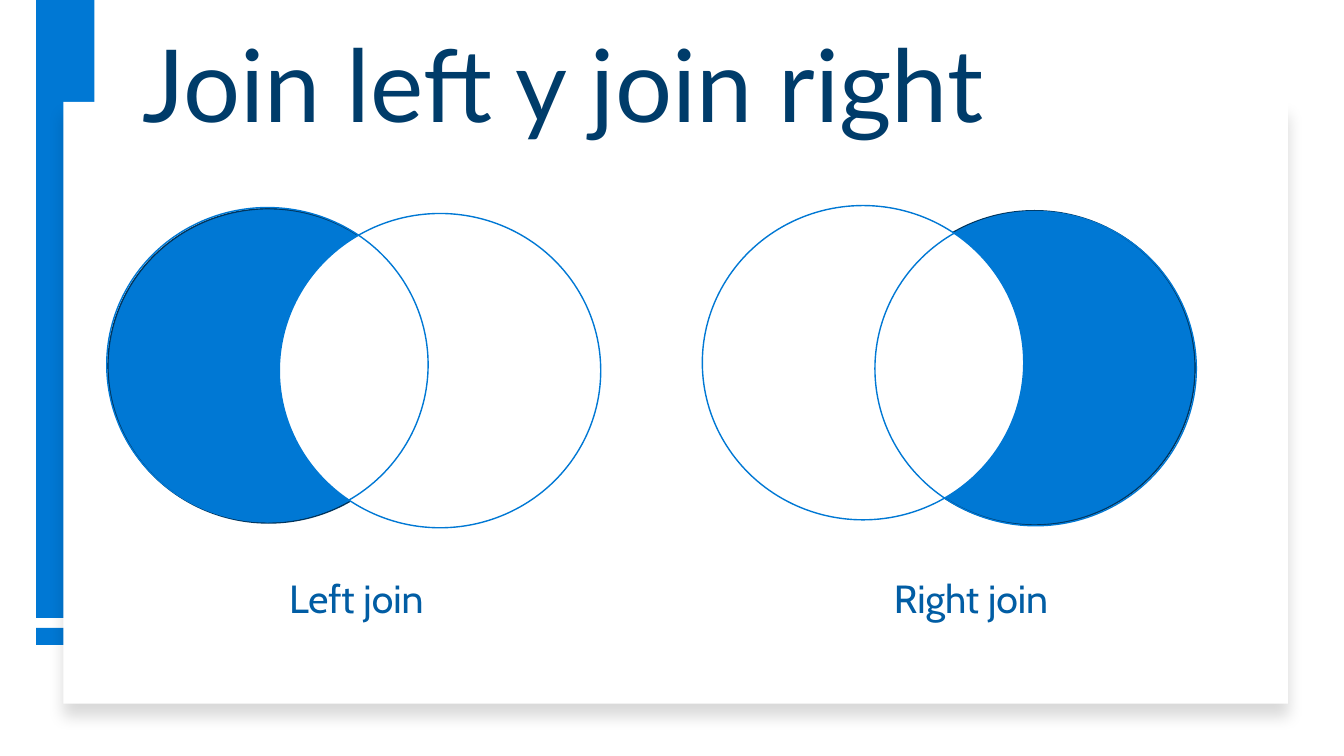
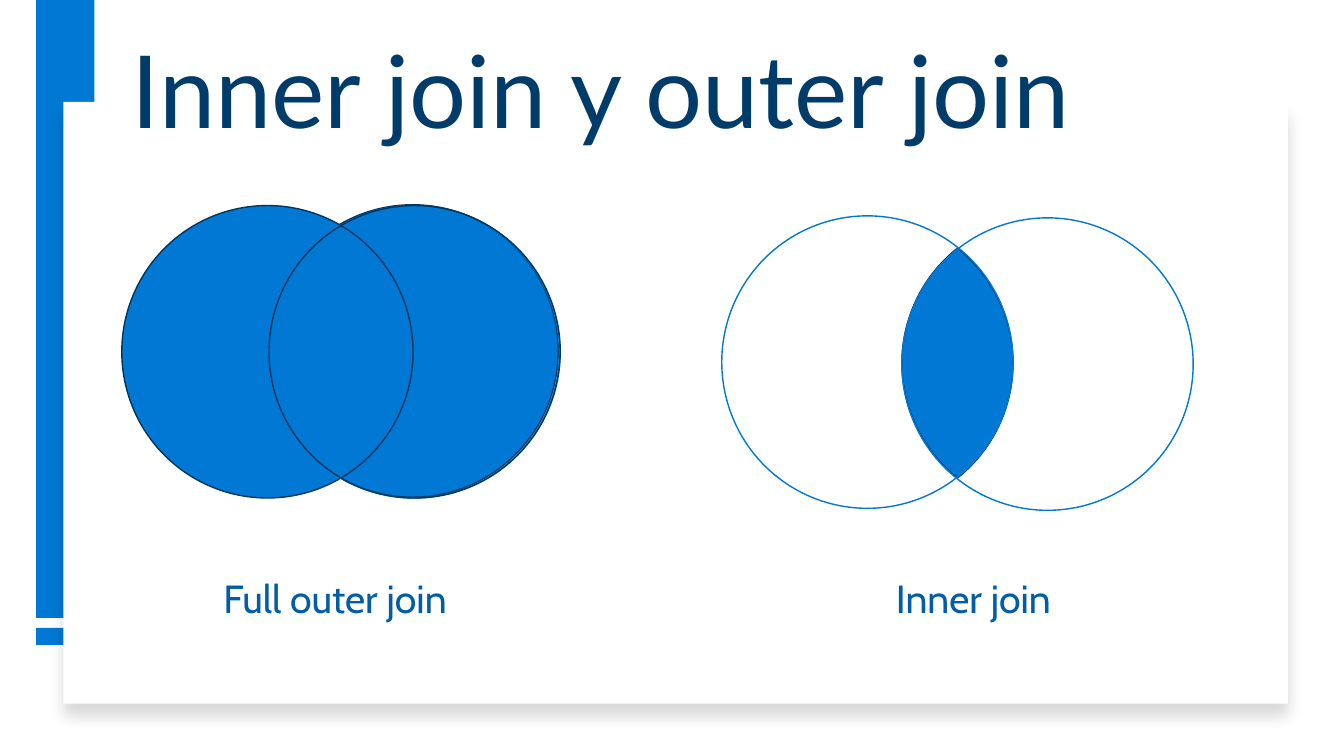
"""Build two slides that explain SQL joins with Venn diagrams."""
import math
from lxml import etree
from pptx import Presentation, util as u
from pptx.dml import color
from pptx.enum import shapes, text
from pptx.oxml import ns

BLUE, DARK, NAVY, MID, WHITE = "0078D4", "00355D", "003C6A", "015DA4", "FFFFFF"
TITLE = {"name": "Lato", "size": u.Pt(72)}
LABEL = {"name": "Cabin", "size": u.Pt(28)}


def rgb(code):
    """Turn a hex string into a colour."""
    return color.RGBColor.from_string(code)


class Deck:
    """Hold the style and the current slide."""

    def __init__(self):
        self.file = Presentation()
        self.file.slide_width, self.file.slide_height = u.Cm(33.87), u.Cm(19.05)
        self.slide = None

    def page(self, words, left, top):
        """Start a slide with the shared frame and a title."""
        self.slide = self.file.slides.add_slide(self.file.slide_layouts[6])
        self.rect(0.91, 15.82, 1.47, 0.43, BLUE)
        self.rect(0.91, 0, 1.47, 15.57, BLUE)
        self.shade(self.rect(1.6, 2.57, 30.86, 15.16, WHITE))
        box = self.words(words, (left, top, 27.36, 3.76), TITLE, NAVY)
        box.vertical_anchor = text.MSO_ANCHOR.BOTTOM
        box.paragraphs[0].line_spacing = 0.9

    def paint(self, item, fill=None, line=None):
        """Set fill and outline, each left empty when None."""
        item.shadow.inherit = False
        if fill:
            item.fill.solid()
            item.fill.fore_color.rgb = rgb(fill)
        else:
            item.fill.background()
        if line:
            item.line.color.rgb = rgb(line)
            item.line.width = u.Pt(1)
        else:
            item.line.fill.background()
        return item

    def add(self, kind, area, fill, line=None):
        """Add a preset shape."""
        item = self.slide.shapes.add_shape(kind, *map(u.Cm, area))
        return self.paint(item, fill, line)

    def rect(self, left, top, wide, high, fill):
        """Add a plain rectangle."""
        return self.add(shapes.MSO_SHAPE.RECTANGLE, (left, top, wide, high), fill)

    def ring(self, spot, size, fill=None, line=BLUE):
        """Add an ellipse."""
        return self.add(shapes.MSO_SHAPE.OVAL, (*spot, *size), fill, line)

    def lens(self, one, two, size):
        """Fill the overlap of two equal ellipses, one left of two."""
        wide, high = size[0] / 2, size[1] / 2
        gap = (two[0] - one[0]) / 2
        mid_x = one[0] + wide + gap
        mid_y = (one[1] + two[1]) / 2 + high
        edge = math.acos(gap / wide)
        steps = [edge * (n / 20 - 1) for n in range(41)]
        dots = [(u.Cm(mid_x + side * (wide * math.cos(a) - gap)),
                 u.Cm(mid_y + side * high * math.sin(a)))
                for side in (1, -1) for a in steps]
        form = self.slide.shapes.build_freeform(*dots[0])
        form.add_line_segments(dots[1:], close=True)
        self.paint(form.convert_to_shape(), BLUE, DARK)

    def shade(self, item):
        """Give a shape a soft shadow below it."""
        root = item._element.spPr.find(ns.qn("a:effectLst"))
        glow = etree.SubElement(root, ns.qn("a:outerShdw"), blurRad=str(u.Pt(11)),
                                dist=str(u.Pt(10)), dir="5400000",
                                algn="ctr", rotWithShape="0")
        tint = etree.SubElement(glow, ns.qn("a:srgbClr"), val="000000")
        etree.SubElement(tint, ns.qn("a:alpha"), val="15000")

    def words(self, line, area, style, tint):
        """Add a one-line text box and return its frame."""
        frame = self.slide.shapes.add_textbox(*map(u.Cm, area)).text_frame
        frame.word_wrap = True
        run = frame.paragraphs[0].add_run()
        run.text = line
        for key, value in style.items():
            setattr(run.font, key, value)
        run.font.color.rgb = rgb(tint)
        return frame

    def label(self, line, left, wide):
        """Add the caption below a diagram."""
        self.words(line, (left, 14.35, wide, 1.45), LABEL, MID)


deck = Deck()

deck.page("Join left y join right", 3.35, 0)
size = 8.1, 7.92
for full, bare, rim in (((2.72, 5.26), (7.04, 5.38), (2.69, 5.23)),
                        ((22.02, 5.31), (17.7, 5.18), (22.05, 5.33))):
    deck.ring(full, size, BLUE, DARK)
    deck.ring(bare, size, WHITE)
    deck.ring(rim, size)
deck.label("Left join", 7.04, 5.51)
deck.label("Right join", 22.28, 6.76)

deck.page("Inner join y outer join", 3.07, 0.15)
size = 7.34, 7.37
deck.ring((6.73, 5.16), size, BLUE, DARK)
deck.ring((3.07, 5.18), size, BLUE, DARK)
deck.ring((6.76, 5.18), size)
deck.ring((6.78, 5.18), size, line=DARK)
deck.label("Full outer join", 5.38, 7.34)
pair = (18.19, 5.44), (22.73, 5.49)
deck.lens(*pair, size)
for spot in pair:
    deck.ring(spot, size)
deck.label("Inner join", 22.33, 4.9)

deck.file.save("out.pptx")
